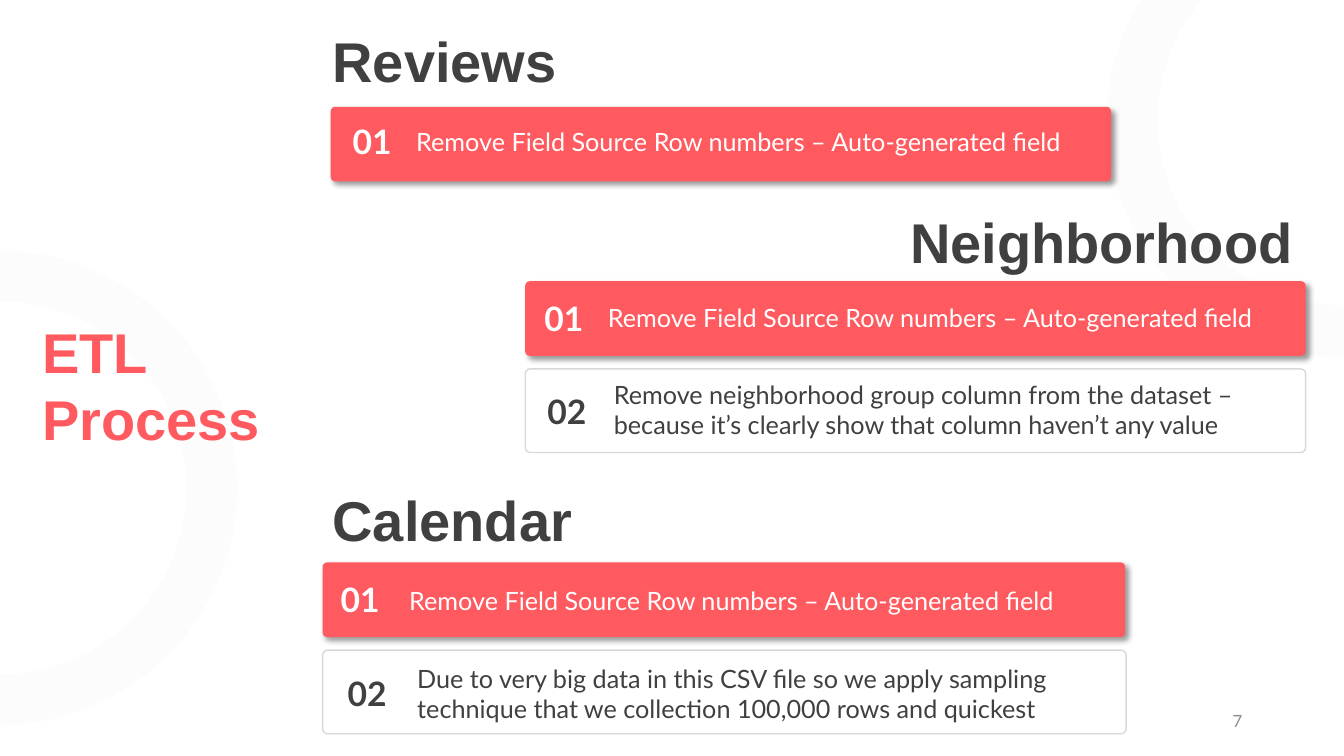
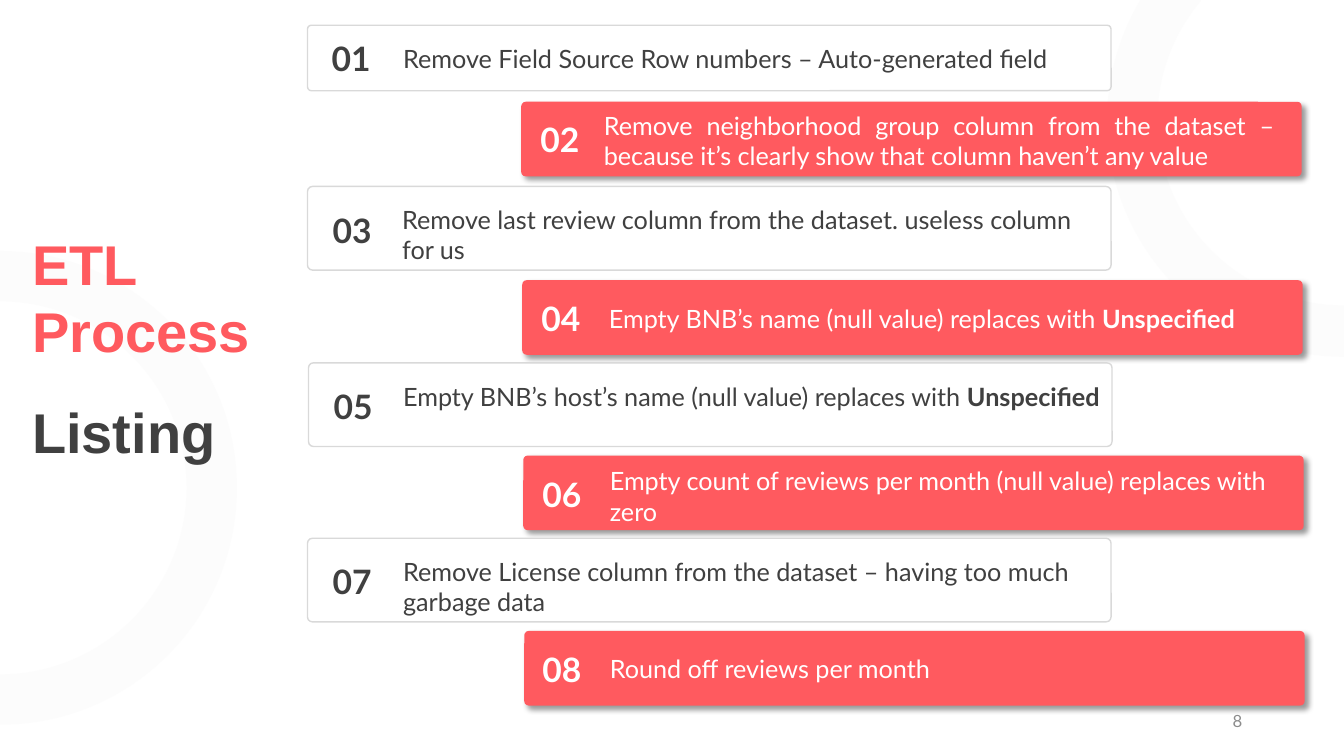
from lxml import etree
from pptx import Presentation
from pptx import util as u
from pptx.dml.color import RGBColor
from pptx.enum import shapes, text
from pptx.oxml import ns

COLOURS = {"coral": "FF5A5F", "dark": "404040", "white": "FFFFFF",
           "border": "D9D9D9", "ring": "F2F2F2", "number": "8C8C8C"}
TITLE = {"size": 40, "font": "Arial", "bold": True, "wrap": False}
ONE_LINE, TWO_LINES = 0.4, 0.71

SHADOW = (f'<a:effectLst {ns.nsdecls("a")}>'
          '<a:outerShdw blurRad="50800" dist="38100" dir="2700000" algn="tl" rotWithShape="0">'
          '<a:srgbClr val="000000"><a:alpha val="40000"/></a:srgbClr>'
          '</a:outerShdw></a:effectLst>')

# Each outline starts at a point; two numbers make a line, six make a curve
RINGS = [
    [(0, 2.49), (1.3, 2.49, 2.35, 3.54, 2.35, 4.84), (2.35, 6.14, 1.3, 7.19, 0, 7.19),
     (0, 6.69), (1.02, 6.69, 1.85, 5.86, 1.85, 4.84), (1.85, 3.82, 1.02, 2.99, 0, 2.99)],
    [(11.31, 0), (11.91, 0), (11.91, 0.01), (11.64, 0.33, 11.48, 0.74, 11.48, 1.19),
     (11.48, 2.21, 12.31, 3.03, 13.33, 3.03), (13.33, 3.54),
     (12.03, 3.54, 10.98, 2.48, 10.98, 1.19), (10.98, 0.78, 11.09, 0.4, 11.27, 0.07)],
]


def add_text(page, place, words, colour, size=18, font="Lato", bold=False,
             wrap=True, align=text.PP_ALIGN.LEFT, anchor=text.MSO_ANCHOR.TOP):
    """Add a text box; a newline starts a paragraph, and words after a bar are bold."""
    box = page.shapes.add_textbox(*(u.Inches(value) for value in place))
    frame = box.text_frame
    frame.word_wrap = wrap
    frame.vertical_anchor = anchor
    if anchor == text.MSO_ANCHOR.TOP:
        frame.auto_size = text.MSO_AUTO_SIZE.SHAPE_TO_FIT_TEXT
    for row, line in enumerate(words.split("\n")):
        para = frame.add_paragraph() if row else frame.paragraphs[0]
        para.alignment = align
        for part, piece in enumerate(line.split("|")):
            span = para.add_run()
            span.text = piece
            span.font.name = font
            span.font.size = u.Pt(size)
            span.font.bold = bold or part > 0
            span.font.color.rgb = RGBColor.from_string(COLOURS[colour])


def add_ring(page, outline):
    """Draw the outline through all its points, then turn each triple into a curve."""
    start, *steps = outline
    builder = page.shapes.build_freeform(*(u.Inches(value) for value in start), scale=1.0)
    for step in steps:
        lengths = [u.Inches(value) for value in step]
        builder.add_line_segments(list(zip(lengths[::2], lengths[1::2])), close=False)
    ring = builder.convert_to_shape()
    outline_xml = ring._element.spPr.find(".//" + ns.qn("a:path"))
    lines = iter(outline_xml.findall(ns.qn("a:lnTo")))
    for step in steps:
        line = next(lines)
        if len(step) == 6:
            line.tag = ns.qn("a:cubicBezTo")
            for _ in range(2):
                extra = next(lines)
                line.append(extra[0])
                outline_xml.remove(extra)
    etree.SubElement(outline_xml, ns.qn("a:close"))
    ring.shadow.inherit = False
    ring.fill.solid()
    ring.fill.fore_color.rgb = RGBColor.from_string(COLOURS["ring"])
    ring.line.fill.background()
    colour = ring._element.spPr.find(ns.qn("a:solidFill"))[0]
    etree.SubElement(colour, ns.qn("a:alpha")).set("val", "20000")


AUTO_FIELD = "Remove Field Source Row numbers – Auto-generated field"
GROUP_COLUMN = ("Remove neighborhood group column from the dataset – "
                "because it’s clearly show that column haven’t any value")
LEFT, JUSTIFY = text.PP_ALIGN.LEFT, text.PP_ALIGN.JUSTIFY

# Titles: place, words, colour
# Cards: filled, number, words, card place, number left and top, words place, alignment
PAGES = [
    {"number": "7",
     "titles": [((0.32, 3.1, 2.38, 1.45), "ETL\nProcess", "coral"),
                ((3.2, 0.21, 2.45, 0.77), "Reviews", "dark"),
                ((8.93, 2.01, 4.03, 0.77), "Neighborhood", "dark"),
                ((3.2, 4.77, 2.6, 0.77), "Calendar", "dark")],
     "cards": [
         (True, "01", AUTO_FIELD,
          (3.28, 1.06, 7.74, 0.74), (3.4, 1.15), (4.03, 1.2, 6.97, ONE_LINE), LEFT),
         (True, "01", AUTO_FIELD,
          (5.21, 2.79, 7.74, 0.74), (5.3, 2.91), (5.93, 2.95, 6.85, ONE_LINE), LEFT),
         (False, "02", GROUP_COLUMN,
          (5.21, 3.66, 7.74, 0.83), (5.33, 3.83), (5.99, 3.71, 7.13, TWO_LINES), LEFT),
         (True, "01", AUTO_FIELD,
          (3.2, 5.58, 7.96, 0.74), (3.28, 5.69), (3.96, 5.76, 6.85, ONE_LINE), LEFT),
         (False, "02", "Due to very big data in this CSV file so we apply sampling "
          "technique that we collection 100,000 rows and quickest",
          (3.2, 6.45, 7.97, 0.83), (3.35, 6.63), (4.04, 6.53, 7.13, TWO_LINES), LEFT)]},
    {"number": "8",
     "titles": [((0.22, 2.23, 2.38, 1.45), "ETL\nProcess", "coral"),
                ((0.22, 3.89, 2.04, 0.77), "Listing", "dark")],
     "cards": [
         (False, "01", AUTO_FIELD,
          (3.05, 0.25, 7.97, 0.65), (3.19, 0.33), (3.9, 0.38, 6.97, ONE_LINE), LEFT),
         (True, "02", GROUP_COLUMN,
          (5.17, 1.01, 7.74, 0.74), (5.26, 1.13), (5.89, 1.04, 6.85, TWO_LINES), JUSTIFY),
         (False, "03", "Remove last review column from the dataset. useless column for us",
          (3.05, 1.85, 7.97, 0.83), (3.2, 2.03), (3.89, 1.98, 7.13, TWO_LINES), LEFT),
         (True, "04", "Empty BNB’s name (null value) replaces with |Unspecified",
          (5.18, 2.78, 7.74, 0.74), (5.27, 2.91), (5.94, 2.96, 6.85, ONE_LINE), LEFT),
         (False, "05", "Empty BNB’s host’s name (null value) replaces with |Unspecified",
          (3.06, 3.6, 7.97, 0.83), (3.21, 3.78), (3.9, 3.73, 7.13, TWO_LINES), LEFT),
         (True, "06", "Empty count of reviews per month (null value) replaces with zero",
          (5.19, 4.52, 7.74, 0.74), (5.28, 4.65), (5.95, 4.57, 6.85, TWO_LINES), LEFT),
         (False, "07", "Remove License column from the dataset – having too much garbage data",
          (3.05, 5.34, 7.97, 0.83), (3.2, 5.52), (3.9, 5.47, 7.13, TWO_LINES), LEFT),
         (True, "08", "Round off reviews per month",
          (5.2, 6.26, 7.74, 0.74), (5.28, 6.39), (5.95, 6.43, 6.85, ONE_LINE), LEFT)]},
]

deck = Presentation()
deck.slide_width, deck.slide_height = u.Inches(13.33), u.Inches(7.5)

for content in PAGES:
    page = deck.slides.add_slide(deck.slide_layouts[6])
    for outline in RINGS:
        add_ring(page, outline)
    add_text(page, (9.42, 6.95, 3, 0.4), content["number"], "number", size=12,
             align=text.PP_ALIGN.RIGHT, anchor=text.MSO_ANCHOR.MIDDLE)

    for filled, number, words, place, number_corner, words_place, align in content["cards"]:
        card = page.shapes.add_shape(shapes.MSO_SHAPE.ROUNDED_RECTANGLE,
                                     *(u.Inches(value) for value in place))
        card.adjustments[0] = 0.06
        if filled:
            card.fill.solid()
            card.fill.fore_color.rgb = RGBColor.from_string(COLOURS["coral"])
            card.line.fill.background()
            card._element.spPr.append(etree.fromstring(SHADOW))
        else:
            card.shadow.inherit = False
            card.fill.background()
            card.line.color.rgb = RGBColor.from_string(COLOURS["border"])
            card.line.width = u.Pt(1)
        colour = "white" if filled else "dark"
        add_text(page, (*number_corner, 0.65, 0.5), number, colour, size=24, bold=True)
        add_text(page, words_place, words, colour, align=align)

    for place, words, colour in content["titles"]:
        add_text(page, place, words, colour, **TITLE)

deck.save("out.pptx")
